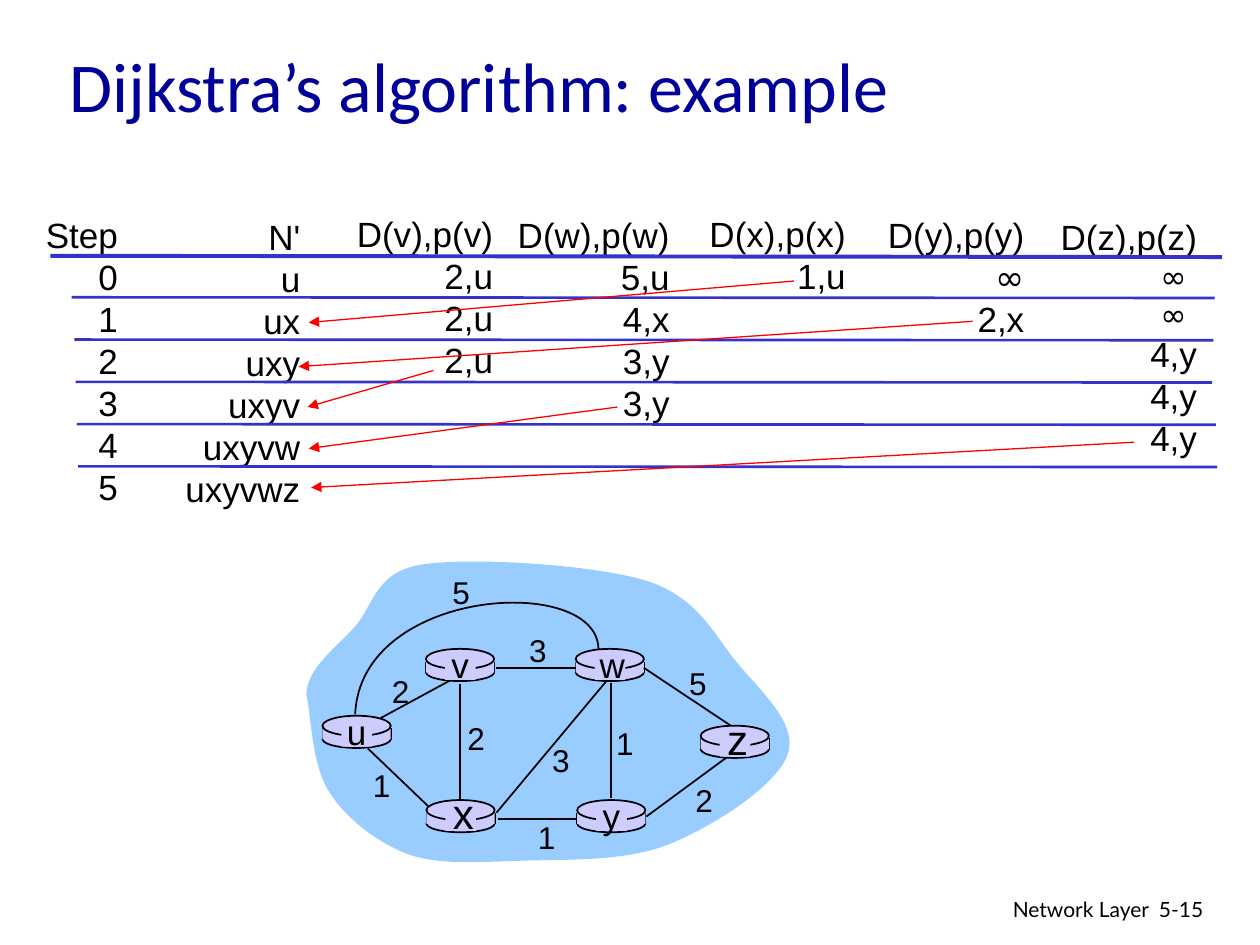
"""Build the slide that steps through Dijkstra's algorithm on a six-node network."""
from lxml import etree
from pptx import Presentation
from pptx.dml.color import RGBColor
from pptx.enum import shapes, text
from pptx.oxml import ns
from pptx.util import Pt

BLACK = RGBColor(0x00, 0x00, 0x00)
NAVY = RGBColor(0x00, 0x00, 0x99)
RULE_BLUE = RGBColor(0x33, 0x33, 0xCC)
CLOUD_BLUE = RGBColor(0x99, 0xCC, 0xFF)
LILAC = RGBColor(0xCC, 0xCC, 0xFF)
RED = RGBColor(0xFF, 0x00, 0x00)
LEFT, CENTER, RIGHT = text.PP_ALIGN.LEFT, text.PP_ALIGN.CENTER, text.PP_ALIGN.RIGHT
OVAL, RECTANGLE = shapes.MSO_SHAPE.OVAL, shapes.MSO_SHAPE.RECTANGLE
ROUTER_WIDTH = 39

COLUMNS = [
    (18.9, 118.4, 55.6, ["Step", "0", "1", "2", "3", "4", "5"]),
    (98.8, 119.5, 79.9, ["N'", "u", "ux", "uxy", "uxyv", "uxyvw", "uxyvwz"]),
    (196.6, 118.1, 92.3, ["D(v),p(v)", "2,u", "2,u", "2,u"]),
    (285.7, 118.4, 104.1, ["D(w),p(w)", "5,u", "4,x", "3,y", "3,y"]),
    (398.2, 118.1, 92.2, ["D(x),p(x)", "1,u"]),
    (500.2, 118.4, 92.2, ["D(y),p(y)", "∞", "2,x"]),
    (598.9, 119.5, 92.2, ["D(z),p(z)", "∞ ", "∞ ", "4,y", "4,y", "4,y"]),
]
ROW_ENDS = [(41, 694.1), (42.5, 693.4), (43.2, 692.6), (43.9, 694.8), (44.6, 695.5)]
CHOICES = [
    ((453.6, 160.6), (176.4, 184.3)),
    ((555.8, 183.6), (170.6, 209.5)),
    ((247.7, 211.7), (175.7, 232.6)),
    ((352.8, 232.6), (176.4, 256.3)),
    ((648, 252.7), (177.8, 278.6)),
]
ROUTERS = [
    ("u", 184.3, 409, 20), ("x", 243.7, 457.2, 24), ("v", 243.4, 370.8, 20),
    ("w", 329, 370.8, 20), ("y", 329.8, 457.2, 20), ("z", 400.4, 414.7, 24),
]
UV_LINK = ((217.4, 410.4), (259.9, 387.4))
LINKS = [
    ((349.2, 390.2), (349.2, 455.8)), ((262.8, 391), (262.8, 457.9)),
    ((283.7, 464.4), (346.3, 389.5)), ((369.4, 466.6), (415.4, 432.7)),
    ((284.4, 468), (329.8, 468)), ((210.2, 427.7), (244.8, 460.8)),
    ((283.7, 381.6), (329, 381.6)), ((367.9, 381.6), (417.6, 414.7)),
]
COSTS = [
    ("2", 216.7, 380.2), ("2", 259.9, 407.5), ("1", 205.9, 434.2), ("3", 308.2, 419.8),
    ("1", 300.2, 463.7), ("1", 344.9, 410.4), ("2", 390.2, 442.8), ("5", 386.6, 375.8),
    ("3", 295.2, 357.1), ("5", 251.3, 324),
]
CLOUD = [
    (175, 396.7),
    (175.7, 381.6), (191.5, 370.8), (202.3, 358.6),
    (213.8, 346.3), (213.8, 326.9), (241.2, 322.6),
    (269.3, 318.2), (339.1, 322.6), (369.4, 331.9),
    (398.9, 341.3), (407.5, 362.2), (421.2, 378.7),
    (434.9, 395.3), (456.5, 414), (450, 431.3),
    (443.5, 449.3), (407.5, 472.3), (382.3, 482.4),
    (357.1, 492.5), (324, 491), (299.5, 491.8),
    (274.3, 492.5), (252, 494.6), (233.3, 488.2),
    (214.6, 481), (197.3, 467.3), (187.9, 452.2),
    (177.8, 436.3), (177.8, 407.5), (175, 396.7),
]
UW_ARC = [(342, 370.8), (341.3, 327.6), (205.9, 335.5), (203, 408.2)]


def format_span(para, content, size=20, font="Arial", color=BLACK, align=LEFT):
    """Put one formatted span into a paragraph."""
    para.alignment = align
    span = para.add_run()
    span.text = content
    span.font.size, span.font.name = Pt(size), font
    span.font.color.rgb = color


def add_text(page, lines, left, top, width, height, wrap=False, **style):
    """Add a text box with one paragraph per line."""
    box = page.shapes.add_textbox(Pt(left), Pt(top), Pt(width), Pt(height))
    frame = box.text_frame
    frame.word_wrap = wrap
    if not wrap:
        frame.auto_size = text.MSO_AUTO_SIZE.SHAPE_TO_FIT_TEXT
    for index, line in enumerate(lines):
        para = frame.paragraphs[0] if index == 0 else frame.add_paragraph()
        symbol = {"font": "Comic Neue"} if "∞" in line else {}
        if line.endswith(" "):
            symbol["size"] = 18
        format_span(para, line, **{**style, **symbol})


def add_line(page, start, end, color=BLACK, weight=1, arrow=False):
    """Add a straight line, with an arrowhead at its end if asked."""
    line = page.shapes.add_connector(
        shapes.MSO_CONNECTOR.STRAIGHT, *(Pt(value) for value in (*start, *end)))
    line.line.color.rgb = color
    line.line.width = Pt(weight)
    properties = line.element.spPr
    if arrow:
        outline = properties.find(ns.qn("a:ln"))
        etree.SubElement(outline, ns.qn("a:tailEnd"), type="triangle")
    etree.SubElement(properties, ns.qn("a:effectLst"))


def paint(shape, fill=None, outline=None):
    """Give a shape a plain fill and outline."""
    shape.shadow.inherit = False
    if fill is None:
        shape.fill.background()
    else:
        shape.fill.solid()
        shape.fill.fore_color.rgb = fill
    if outline is None:
        shape.line.fill.background()
    else:
        shape.line.color.rgb = outline
        shape.line.width = Pt(1)


def add_preset(page, kind, left, top, width, height, outline=None):
    """Add a lilac preset shape."""
    shape = page.shapes.add_shape(kind, Pt(left), Pt(top), Pt(width), Pt(height))
    paint(shape, LILAC, outline)


def add_curve(page, points, closed=False, **colors):
    """Add an outline of cubic Bézier bends, three points to a bend."""
    vertices = [(Pt(x), Pt(y)) for x, y in points]
    builder = page.shapes.build_freeform(*vertices[0], scale=1.0)
    builder.add_line_segments(vertices[1:], close=closed)
    shape = builder.convert_to_shape()
    segments = list(shape.element.iter(ns.qn("a:lnTo")))
    for index in range(0, len(segments), 3):
        bend = etree.Element(ns.qn("a:cubicBezTo"))
        segments[index].addprevious(bend)
        for segment in segments[index:index + 3]:
            bend.append(segment[0])
            segment.getparent().remove(segment)
    paint(shape, **colors)


def add_router(page, left, top):
    """Draw a router as a flat cylinder."""
    add_preset(page, OVAL, left, top + 8.4, ROUTER_WIDTH, 10, outline=BLACK)
    for x in (left, left + ROUTER_WIDTH):
        add_line(page, (x, top + 7.2), (x, top + 13.6))
    add_preset(page, RECTANGLE, left, top + 7.2, ROUTER_WIDTH, 6.4)
    add_preset(page, OVAL, left, top, ROUTER_WIDTH, 11.5, outline=BLACK)


def add_router_name(page, name, left, top, size):
    """Write a router's name on a patch over its middle."""
    add_preset(page, RECTANGLE, left + 10.8, top + 1.2, 17.6, 16.5)
    shift, rise, height = (8, 10.8, 36) if size == 24 else (6.5, 6.5, 31)
    add_text(page, [name], left + shift, top - rise, 26, height, size=size, align=CENTER)


def add_title(page, content):
    """Place and format the title."""
    title = page.shapes.title
    title.left, title.top, title.width, title.height = Pt(32.4), Pt(10.4), Pt(659), Pt(75.6)
    title.text_frame.vertical_anchor = text.MSO_ANCHOR.MIDDLE
    format_span(title.text_frame.paragraphs[0], content, size=40, font="Calibri", color=NAVY)


def add_steps(page):
    """Lay out the step columns and the rules below each row."""
    for left, top, width, lines in COLUMNS:
        add_text(page, lines, left, top, width, 24.2 * len(lines) + 7.2, align=RIGHT)
    add_line(page, (28.8, 146.2), (698.4, 146.9), color=RULE_BLUE, weight=2.25)
    for row, (start, end) in enumerate(ROW_ENDS):
        y = 169.9 + 24.15 * row
        add_line(page, (start, y), (end, y + 0.4), color=RULE_BLUE, weight=1.5)


def add_network(page):
    """Draw the network with its routers, links and costs."""
    add_curve(page, CLOUD, closed=True, fill=CLOUD_BLUE)
    add_line(page, *UV_LINK)
    for _, left, top, _ in ROUTERS:
        add_router(page, left, top)
    for start, end in LINKS:
        add_line(page, start, end)
    add_curve(page, UW_ARC, outline=BLACK)
    for router in ROUTERS:
        add_router_name(page, *router)
    for cost, left, top in COSTS:
        add_text(page, [cost], left, top, 24.5, 28.8, size=18, align=CENTER)


def main():
    """Build and save the deck."""
    deck = Presentation()
    deck.slide_width, deck.slide_height = Pt(720), Pt(540)
    page = deck.slides.add_slide(deck.slide_layouts[5])
    footer = {"size": 12, "font": "Lato", "wrap": True}
    add_text(page, ["Network Layer"], 435.6, 509, 228.2, 22.3, align=RIGHT, **footer)
    add_text(page, ["5-15"], 655.2, 509, 53.3, 21.6, **footer)
    add_title(page, "Dijkstra’s algorithm: example")
    add_steps(page)
    add_network(page)
    for start, end in CHOICES:
        add_line(page, start, end, color=RED, weight=0.75, arrow=True)
    deck.save("out.pptx")


if __name__ == "__main__":
    main()
